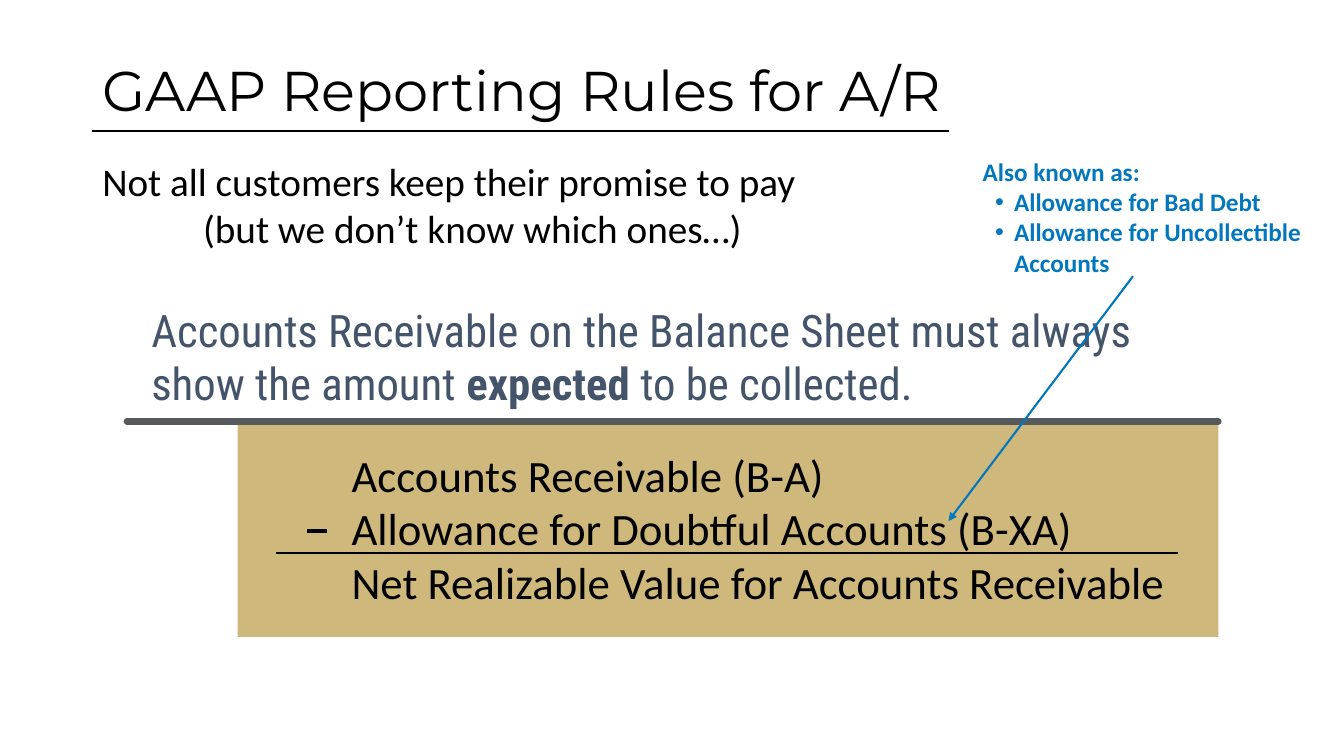
import pptx
import pptx.dml.color
import pptx.enum.shapes
import pptx.enum.text
import pptx.oxml
import pptx.oxml.ns
import pptx.util

Pt = pptx.util.Pt
RGBColor = pptx.dml.color.RGBColor
BLACK = RGBColor(0x00, 0x00, 0x00)
GOLD = RGBColor(0xCF, 0xB8, 0x7C)
SLATE = RGBColor(0x44, 0x54, 0x6A)
GRAY = RGBColor(0x56, 0x5A, 0x5C)
BLUE = RGBColor(0x03, 0x77, 0xBD)

TITLE_FORMAT = {"name": "Montserrat", "size": Pt(40), "bold": False}
PROMISE_FORMAT = {"name": "Calibri", "size": Pt(28)}
RULE_FORMAT = {"name": "Roboto Condensed", "size": Pt(32)}
FORMULA_FORMAT = {"name": "Calibri", "size": Pt(32)}
ALIAS_FORMAT = {"name": "Calibri", "size": Pt(18), "bold": True}


def format_font(font, values, color):
    """Apply a dict of font values and a colour."""
    for name, value in values.items():
        setattr(font, name, value)
    font.color.rgb = color


def add_xml(parent, tag, **attributes):
    """Append a drawing element with the given attributes."""
    element = pptx.oxml.parse_xml(f"<a:{tag} {pptx.oxml.ns.nsdecls('a')}/>")
    for name, value in attributes.items():
        element.set(name, value)
    parent.append(element)


def add_line(slide, start, end, color, width, cap="flat", arrow=False):
    """Draw a straight line between two points."""
    line = slide.shapes.add_connector(
        pptx.enum.shapes.MSO_CONNECTOR.STRAIGHT, *map(Pt, start + end))
    line.line.color.rgb = color
    line.line.width = Pt(width)
    outline = line.line._get_or_add_ln()
    outline.set("cap", cap)
    if arrow:
        add_xml(outline, "tailEnd", type="triangle")
    add_xml(line._element.spPr, "effectLst")


def add_text(slide, box, lines, values, color):
    """Add a wrapping text box and return its paragraphs."""
    frame = slide.shapes.add_textbox(*map(Pt, box)).text_frame
    frame.word_wrap = True
    frame.text = "\n".join(lines)
    for paragraph in frame.paragraphs:
        for run in paragraph.runs:
            format_font(run.font, values, color)
    return frame.paragraphs


def add_title(slide, box):
    """Place the underlined slide title."""
    left, top, width, height = box
    title = slide.shapes.title
    title.left, title.top, title.width, title.height = map(Pt, box)
    frame = title.text_frame
    frame.text = "GAAP Reporting Rules for A/R"
    frame.vertical_anchor = pptx.enum.text.MSO_ANCHOR.MIDDLE
    paragraph = frame.paragraphs[0]
    paragraph.alignment = pptx.enum.text.PP_ALIGN.LEFT
    paragraph.line_spacing = 0.9
    format_font(paragraph.runs[0].font, TITLE_FORMAT, BLACK)
    add_line(slide, (left, top + 79.2), (left + 612, top + 79.2), BLACK, 1)


def add_promise(slide, box):
    """Place the remark about customers with its indented second line."""
    lines = ["Not all customers keep their promise to pay",
             "(but we don’t know which ones…)"]
    paragraphs = add_text(slide, box, lines, PROMISE_FORMAT, BLACK)
    paragraphs[1]._p.get_or_add_pPr().set("marL", str(Pt(72)))


def add_rule(slide, box):
    """Place the reporting rule with one bold word."""
    opening = "Accounts Receivable on the Balance Sheet must always show the amount "
    paragraph = add_text(slide, box, [opening], RULE_FORMAT, SLATE)[0]
    for text, bold in (("expected", True), (" to be collected.", False)):
        run = paragraph.add_run()
        run.text = text
        format_font(run.font, {**RULE_FORMAT, "bold": bold}, SLATE)


def add_formula(slide, box):
    """Place the gold panel with the net realizable value calculation."""
    left, top, width, height = box
    panel = slide.shapes.add_shape(
        pptx.enum.shapes.MSO_SHAPE.RECTANGLE, *map(Pt, box))
    panel.shadow.inherit = False
    panel.fill.solid()
    panel.fill.fore_color.rgb = GOLD
    panel.line.fill.background()
    right = left + width
    add_line(slide, (left - 79.2, top), (right, top), GRAY, 4.5, cap="rnd")
    lines = ["Accounts Receivable (B-A)",
             "Allowance for Doubtful Accounts (B-XA)",
             "Net Realizable Value for Accounts Receivable"]
    add_text(slide, (left + 74.2, top + 15, 608, 124), lines,
             FORMULA_FORMAT, BLACK)
    add_line(slide, (left + 27.5, top + 94.3), (right - 28.5, top + 94.3),
             BLACK, 1.5)
    add_line(slide, (left + 49.7, top + 78.5), (left + 64.1, top + 78.5),
             BLACK, 3)


def add_aliases(slide, box, target):
    """Place the other names of the allowance and an arrow to the target."""
    left, top, width, height = box
    add_line(slide, (left + 114.5, top + 89.3), target, BLUE, 1.5, arrow=True)
    lines = ["Also known as:", "Allowance for Bad Debt",
             "Allowance for Uncollectible Accounts"]
    paragraphs = add_text(slide, box, lines, ALIAS_FORMAT, BLUE)
    for paragraph in paragraphs[1:]:
        properties = paragraph._p.get_or_add_pPr()
        properties.set("marL", str(Pt(22.5)))
        properties.set("indent", str(Pt(-13.5)))
        add_xml(properties, "buFont", typeface="Arial")
        add_xml(properties, "buChar", char="•")


def main():
    """Build and save the slide."""
    presentation = pptx.Presentation()
    presentation.slide_width = Pt(960)
    presentation.slide_height = Pt(540)
    slide = presentation.slides.add_slide(presentation.slide_layouts[5])
    add_title(slide, (66, 14.4, 828, 104.4))
    add_promise(slide, (66, 108.7, 773, 75))
    add_rule(slide, (101, 212.4, 728.6, 85))
    add_formula(slide, (169.8, 301, 700.5, 154))
    add_aliases(slide, (694.8, 108, 269.3, 94.3), (677.5, 372.2))
    presentation.save("out.pptx")


if __name__ == "__main__":
    main()
